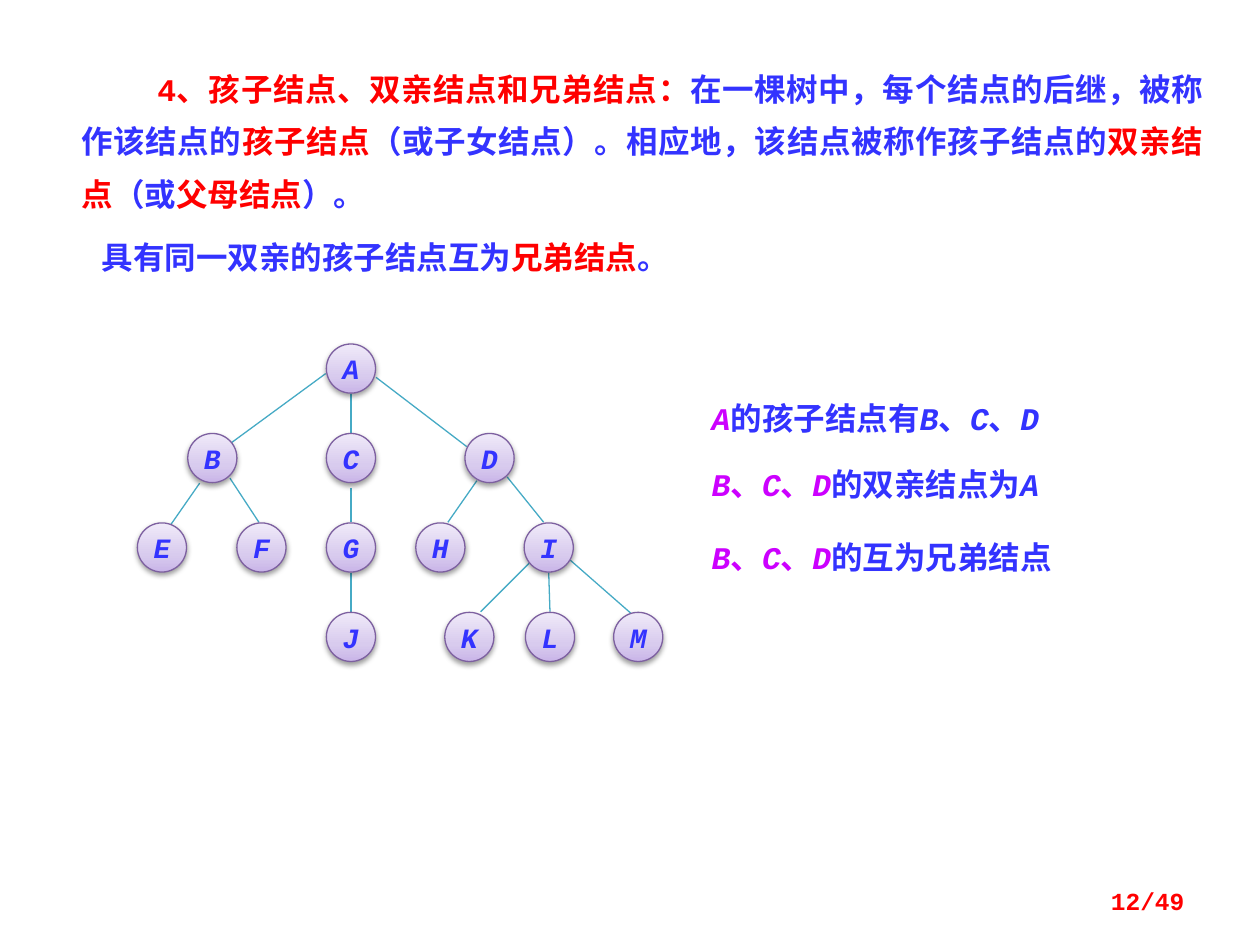
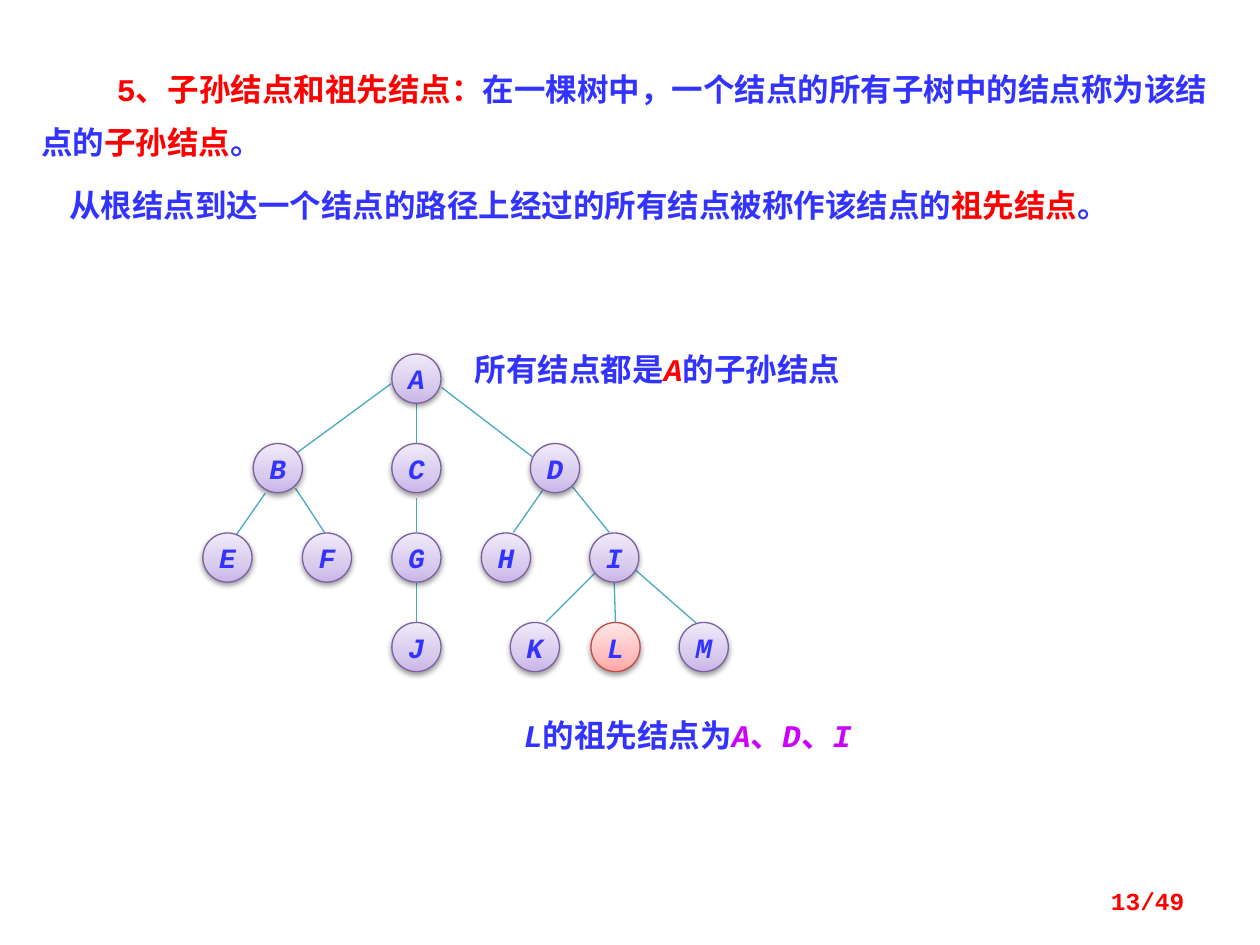
from dataclasses import dataclass

from lxml import etree
from pptx import Presentation
from pptx import util as u
from pptx.dml.color import RGBColor
from pptx.enum import shapes, text
from pptx.oxml.ns import qn


@dataclass(frozen=True)
class Theme:
    """Colours, fonts and type sizes shared by the slides."""
    blue: str = "3333FF"
    red: str = "FF0000"
    magenta: str = "CC00FF"
    edge: str = "46AAC5"
    latin: str = "Courier New"
    chinese: str = "Noto Sans CJK JP"
    body: int = 18
    label: int = 16
    footer: int = 14
    hairline: float = 0.75
    # Outline, then gradient colours from the bottom of the node to its top
    plain: tuple = ("7D60A0", "C9B5E8", "D8CBEE", "F0EAF9")
    marked: tuple = ("BF4C48", "FFA6A5", "FFC0BF", "FFE7E7")


THEME = Theme()
BLUE, RED, MAGENTA = THEME.blue, THEME.red, THEME.magenta
STOPS = (0, 35, 100)
PAGES = 49

# Tree geometry in inches: left of each node, level by level
NODE, LEVEL_STEP = 0.39, 0.71
LEVELS = [
    {"A": 1.5},
    {"B": 0.4, "C": 1.5, "D": 2.6},
    {"E": 0, "F": 0.79, "G": 1.5, "H": 2.21, "I": 3.07},
    {"J": 1.5, "K": 2.44, "L": 3.08, "M": 3.78},
]
# Edge ends, as offsets from the centres of parent and child
STRAIGHT = (0, 0.2), (0, -0.2)
EDGES = {
    "AB": ((-0.2, 0.04), (0.15, -0.12)),
    "AC": STRAIGHT,
    "AD": ((0.2, 0.07), (-0.18, -0.09)),
    "BE": ((-0.1, 0.2), (0.07, -0.18)),
    "BF": ((0.14, 0.16), (-0.02, -0.2)),
    "CG": ((0, 0.24), (0, -0.2)),
    "DH": ((-0.1, 0.18), (0.06, -0.2)),
    "DI": ((0.14, 0.15), (-0.04, -0.2)),
    "GJ": STRAIGHT,
    "IK": ((-0.15, 0.12), (0.09, -0.2)),
    "IL": STRAIGHT,
    "IM": ((0.17, 0.1), (-0.06, -0.19)),
}


def letters(names, color):
    """Return runs for italic node names joined by enumeration commas."""
    runs = []
    for name in names:
        if runs:
            runs.append(("、", color))
        runs.append((name, color, True))
    return runs


class Deck:
    """Holds the theme, the presentation and the current slide."""

    def __init__(self, theme):
        """Start an empty 10 by 7.5 inch presentation."""
        self.theme = theme
        self.prs = Presentation()
        self.prs.slide_width = u.Inches(10)
        self.prs.slide_height = u.Inches(7.5)

    def new_slide(self, number):
        """Add a slide with its page number."""
        self.slide = self.prs.slides.add_slide(self.prs.slide_layouts[6])
        frame = self.text_frame(7.17, 6.95, 2.33, 0.4)
        frame.vertical_anchor = text.MSO_ANCHOR.MIDDLE
        page = frame.paragraphs[0]
        page.alignment = text.PP_ALIGN.RIGHT
        self.run(page, f"{number}/{PAGES}", RED, size=self.theme.footer)

    def text_frame(self, left, top, width, height):
        """Add a wrapping text box and return its frame."""
        box = self.slide.shapes.add_textbox(*map(u.Inches, (left, top, width, height)))
        box.text_frame.word_wrap = True
        return box.text_frame

    def run(self, paragraph, words, color, italic=False, latin=None, size=None):
        """Append one bold run to a paragraph."""
        run = paragraph.add_run()
        run.text = words
        font = run.font
        font.size = u.Pt(size or self.theme.body)
        font.bold, font.italic = True, italic
        font.color.rgb = RGBColor.from_string(color)
        font.name = latin or self.theme.latin
        etree.SubElement(run.font._element, qn("a:ea"), typeface=self.theme.chinese)

    def definition(self, place, paragraphs):
        """Add justified paragraphs, each given as (first-line indent, runs)."""
        frame = self.text_frame(*place)
        frame.auto_size = text.MSO_AUTO_SIZE.SHAPE_TO_FIT_TEXT
        for index, (indent, runs) in enumerate(paragraphs):
            paragraph = frame.add_paragraph() if index else frame.paragraphs[0]
            paragraph.alignment = text.PP_ALIGN.JUSTIFY
            paragraph.line_spacing = u.Pt(30)
            paragraph.space_before = u.Pt(6)
            paragraph._p.get_or_add_pPr().set("indent", str(u.Inches(indent)))
            for run in runs:
                self.run(paragraph, *run)

    def remark(self, left, top, runs, width=3.67):
        """Add a one-line remark about the tree."""
        frame = self.text_frame(left, top, width, 0.4)
        frame.auto_size = text.MSO_AUTO_SIZE.SHAPE_TO_FIT_TEXT
        for run in runs:
            self.run(frame.paragraphs[0], *run)

    def edge(self, group, start, end):
        """Draw a line between two points, in inches."""
        line = group.shapes.add_connector(
            shapes.MSO_CONNECTOR.STRAIGHT, *map(u.Inches, (*start, *end)))
        line.line.color.rgb = RGBColor.from_string(self.theme.edge)
        line.line.width = u.Pt(self.theme.hairline)
        etree.SubElement(line._element.spPr, qn("a:effectLst"))

    def node(self, group, name, left, top, colors):
        """Draw a shaded round node with its letter."""
        outline, *shades = colors
        circle = group.shapes.add_shape(
            shapes.MSO_SHAPE.OVAL, *map(u.Inches, (left, top, NODE, NODE)))
        properties = circle._element.spPr
        gradient = etree.SubElement(properties, qn("a:gradFill"), rotWithShape="1")
        stops = etree.SubElement(gradient, qn("a:gsLst"))
        for percent, shade in zip(STOPS, shades):
            stop = etree.SubElement(stops, qn("a:gs"), pos=str(percent * 1000))
            etree.SubElement(stop, qn("a:srgbClr"), val=shade)
        etree.SubElement(gradient, qn("a:lin"), ang=str(270 * 60000), scaled="0")
        circle.line.color.rgb = RGBColor.from_string(outline)
        circle.line.width = u.Pt(self.theme.hairline)
        self.drop_shadow(circle)

        frame = circle.text_frame
        frame.word_wrap = False
        frame.vertical_anchor = text.MSO_ANCHOR.MIDDLE
        label = frame.paragraphs[0]
        label.alignment = text.PP_ALIGN.CENTER
        self.run(label, name, BLUE, True, size=self.theme.label)

    def drop_shadow(self, shape):
        """Give a shape a soft shadow straight below it."""
        shape.shadow.inherit = False
        effects = shape._element.spPr.find(qn("a:effectLst"))
        shadow = etree.SubElement(
            effects, qn("a:outerShdw"), blurRad=str(u.Pt(3.1)),
            dist=str(u.Pt(1.6)), dir=str(90 * 60000), rotWithShape="0")
        black = etree.SubElement(shadow, qn("a:srgbClr"), val="000000")
        etree.SubElement(black, qn("a:alpha"), val="38000")

    def tree(self, left, top, marked=""):
        """Draw the whole tree as one group, with some nodes marked."""
        group = self.slide.shapes.add_group_shape()
        corners = {name: (left + x, top + level * LEVEL_STEP)
                   for level, row in enumerate(LEVELS) for name, x in row.items()}
        for ends, offsets in EDGES.items():
            start, end = [
                (corners[name][0] + NODE / 2 + dx, corners[name][1] + NODE / 2 + dy)
                for name, (dx, dy) in zip(ends, offsets)]
            self.edge(group, start, end)
        for name, corner in corners.items():
            colors = self.theme.marked if name in marked else self.theme.plain
            self.node(group, name, *corner, colors)


def family_slide(deck):
    """Children, parents and siblings."""
    deck.new_slide(12)
    deck.definition((0.55, 0.39, 9.1, 1.87), [
        (0.6, [
            ("4、", RED),
            ("孩子结点、双亲结点和兄弟结点", RED, False, THEME.chinese),
            (":".replace(":", "："), RED),
            ("在一棵树中，每个结点的后继，被称作该结点的", BLUE),
            ("孩子结点", RED),
            ("（或子女结点）。相应地，该结点被称作孩子结点的", BLUE),
            ("双亲结点", RED),
            ("（或", BLUE),
            ("父母结点", RED),
            ("）。", BLUE),
        ]),
        (0.16, [
            ("具有同一双亲的孩子结点互为", BLUE),
            ("兄弟结点", RED),
            ("。", BLUE),
        ]),
    ])
    deck.tree(1.09, 2.73)
    siblings = letters("BCD", MAGENTA)
    deck.remark(5.55, 3.12, [("A", MAGENTA, True), ("的孩子结点有", BLUE),
                             *letters("BCD", BLUE)], width=3.91)
    deck.remark(5.55, 3.64, [*siblings, ("的双亲结点为", BLUE), ("A", BLUE, True)])
    deck.remark(5.55, 4.22, [*siblings, ("的互为兄弟结点", BLUE)])


def lineage_slide(deck):
    """Descendants and ancestors."""
    deck.new_slide(13)
    deck.definition((0.23, 0.39, 9.45, 1.45), [
        (0.6, [
            ("5、", RED),
            ("子孙结点和祖先结点", RED, False, THEME.chinese),
            ("：", RED),
            ("在一棵树中，一个结点的所有子树中的结点称为该结点的", BLUE),
            ("子孙结点", RED),
            ("。", BLUE),
        ]),
        (0.22, [
            ("从根结点到达一个结点的路径上经过的所有结点被称作该结点的", BLUE),
            ("祖先结点", RED),
            ("。", BLUE),
        ]),
    ])
    deck.remark(3.67, 2.73, [("所有结点都是", BLUE), ("A", RED, True),
                             ("的子孙结点", BLUE)])
    deck.remark(4.06, 5.63, [("L", BLUE, True), ("的祖先结点为", BLUE),
                             *letters("ADI", MAGENTA)])
    deck.tree(1.61, 2.81, marked="L")


def main():
    """Build both slides and save them."""
    deck = Deck(THEME)
    family_slide(deck)
    lineage_slide(deck)
    deck.prs.save("out.pptx")


main()
